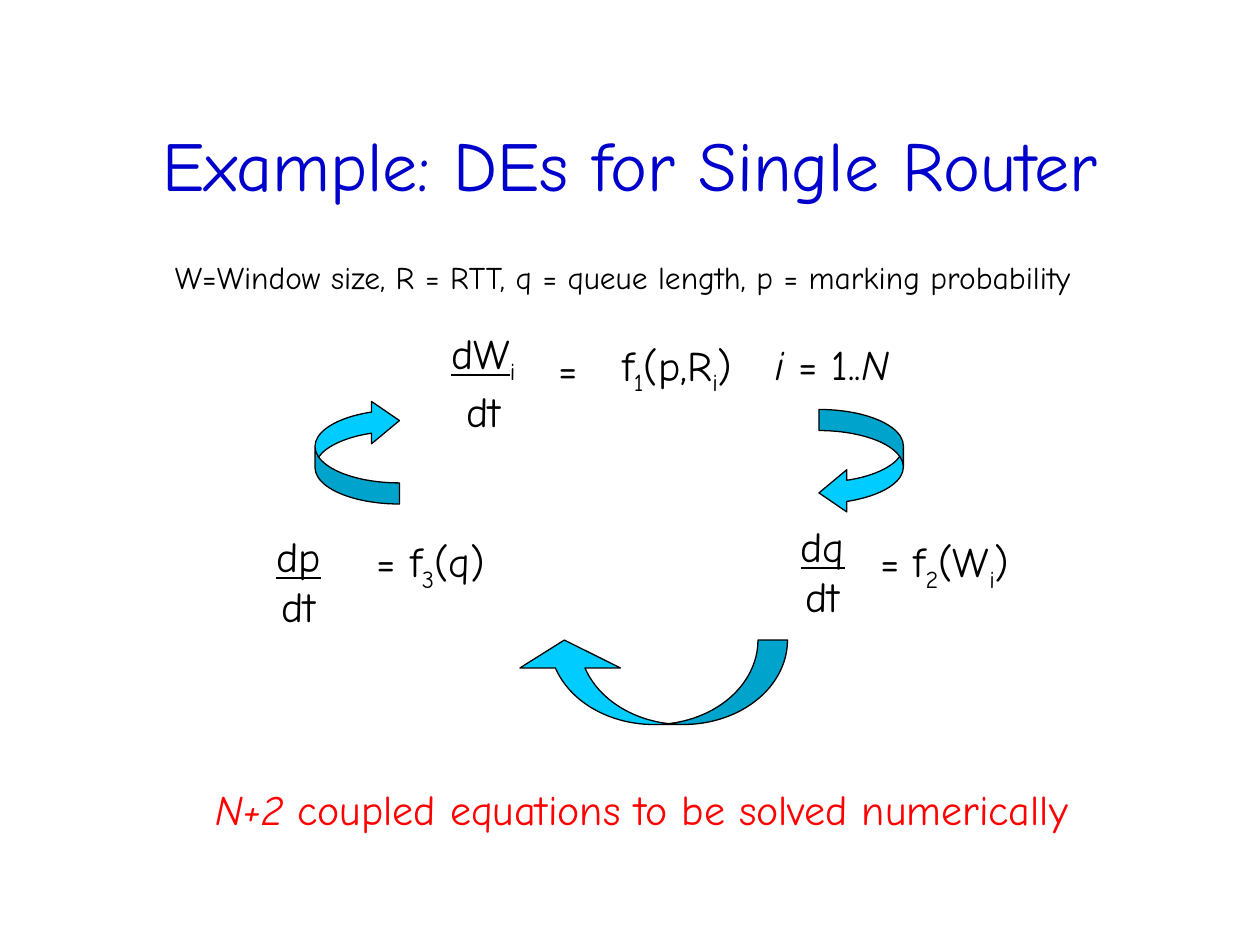
from dataclasses import dataclass

from pptx import Presentation
from pptx.dml.color import RGBColor
from pptx.enum.shapes import MSO_SHAPE
from pptx.enum.text import MSO_ANCHOR, PP_ALIGN
from pptx.slide import Slide
from pptx.util import Inches, Pt

FONT = "Comic Neue"
COLORS = {
    "title": "0000CC",
    "text": "000000",
    "conclusion": "FF0000",
    "arrow": "00CCFF",
    "outline": "000000",
}


@dataclass(frozen=True)
class Piece:
    text: str
    subscript: bool = False
    italic: bool = False
    underline: bool = False


@dataclass(frozen=True)
class Label:
    box: tuple[float, float, float, float]
    lines: list[list[Piece]]
    size: int = 24
    color: str = "text"
    align: PP_ALIGN = PP_ALIGN.LEFT


@dataclass(frozen=True)
class CurvedArrow:
    preset: MSO_SHAPE
    box: tuple[float, float, float, float]
    adjustments: tuple[float, float, float]
    rotation: int = 0


def sub(text: str) -> Piece:
    return Piece(text, subscript=True)


def derivative(box: tuple[float, float, float, float], variable: str, index: str = "") -> Label:
    """Describe a fraction whose underlined numerator stands over dt."""
    numerator = [Piece(f"d{variable}", underline=True)]
    if index:
        numerator.append(sub(index))
    return Label(box, [numerator, [Piece("dt")]], align=PP_ALIGN.CENTER)


LABELS = [
    Label((0.75, 0.67, 8.5, 1.25), [[Piece("Example: DEs for Single Router")]],
          size=40, color="title", align=PP_ALIGN.CENTER),
    Label((1.29, 2, 7.45, 0.4),
          [[Piece("W=Window size, R = RTT, q = queue length, p = marking probability")]], size=18),
    derivative((3.42, 2.55, 0.83, 0.96), "W", "i"),
    Label((4.25, 2.67, 0.52, 0.5), [[Piece("=")]], align=PP_ALIGN.CENTER),
    Label((4.84, 2.64, 1.2, 0.56),
          [[Piece("f"), sub("1"), Piece("(p,R"), sub("i"), Piece(")")]]),
    Label((6.05, 2.64, 1.3, 0.5),
          [[Piece("i ", italic=True), Piece("= 1.."), Piece("N", italic=True)]]),
    derivative((2.02, 4.16, 0.7, 0.9), "p"),
    Label((2.84, 4.2, 1.16, 0.56), [[Piece("= f"), sub("3"), Piece("(q)")]],
          align=PP_ALIGN.CENTER),
    derivative((6.18, 4.08, 0.7, 0.9), "q"),
    Label((6.89, 4.2, 1.3, 0.56),
          [[Piece("= f"), sub("2"), Piece("(W"), sub("i"), Piece(")")]]),
    Label((1.54, 6.17, 7.1, 0.5),
          [[Piece("N+2 ", italic=True), Piece("coupled equations to be solved numerically")]],
          color="conclusion", align=PP_ALIGN.CENTER),
]

SIDE_ADJUSTMENTS = (0.25, 0.5, 0.33)
ARROWS = [
    CurvedArrow(MSO_SHAPE.CURVED_DOWN_ARROW, (4.08, 5.08, 2.17, 0.67), (0.35, 1.19, 0.33), 180),
    CurvedArrow(MSO_SHAPE.CURVED_LEFT_ARROW, (6.5, 3.25, 0.67, 0.83), SIDE_ADJUSTMENTS),
    CurvedArrow(MSO_SHAPE.CURVED_LEFT_ARROW, (2.5, 3.17, 0.67, 0.83), SIDE_ADJUSTMENTS, 180),
]


def rgb(name: str) -> RGBColor:
    return RGBColor.from_string(COLORS[name])


def draw_label(slide: Slide, label: Label) -> None:
    text_frame = slide.shapes.add_textbox(*map(Inches, label.box)).text_frame
    text_frame.word_wrap = False
    text_frame.vertical_anchor = MSO_ANCHOR.MIDDLE
    for number, pieces in enumerate(label.lines):
        paragraph = text_frame.add_paragraph() if number else text_frame.paragraphs[0]
        paragraph.alignment = label.align
        for piece in pieces:
            run = paragraph.add_run()
            run.text = piece.text
            run.font.name = FONT
            run.font.size = Pt(label.size)
            run.font.color.rgb = rgb(label.color)
            run.font.italic = piece.italic
            run.font.underline = piece.underline
            if piece.subscript:
                run._r.get_or_add_rPr().set("baseline", "-25000")


def draw_arrow(slide: Slide, arrow: CurvedArrow) -> None:
    shape = slide.shapes.add_shape(arrow.preset, *map(Inches, arrow.box))
    for index, value in enumerate(arrow.adjustments):
        shape.adjustments[index] = value
    shape.rotation = arrow.rotation
    shape.shadow.inherit = False
    shape.fill.solid()
    shape.fill.fore_color.rgb = rgb("arrow")
    shape.line.color.rgb = rgb("outline")
    shape.line.width = Pt(0.75)


def main() -> None:
    presentation = Presentation()
    presentation.slide_width = Inches(10)
    presentation.slide_height = Inches(7.5)
    slide = presentation.slides.add_slide(presentation.slide_layouts[6])
    for label in LABELS:
        draw_label(slide, label)
    for arrow in ARROWS:
        draw_arrow(slide, arrow)
    presentation.save("out.pptx")


if __name__ == "__main__":
    main()
